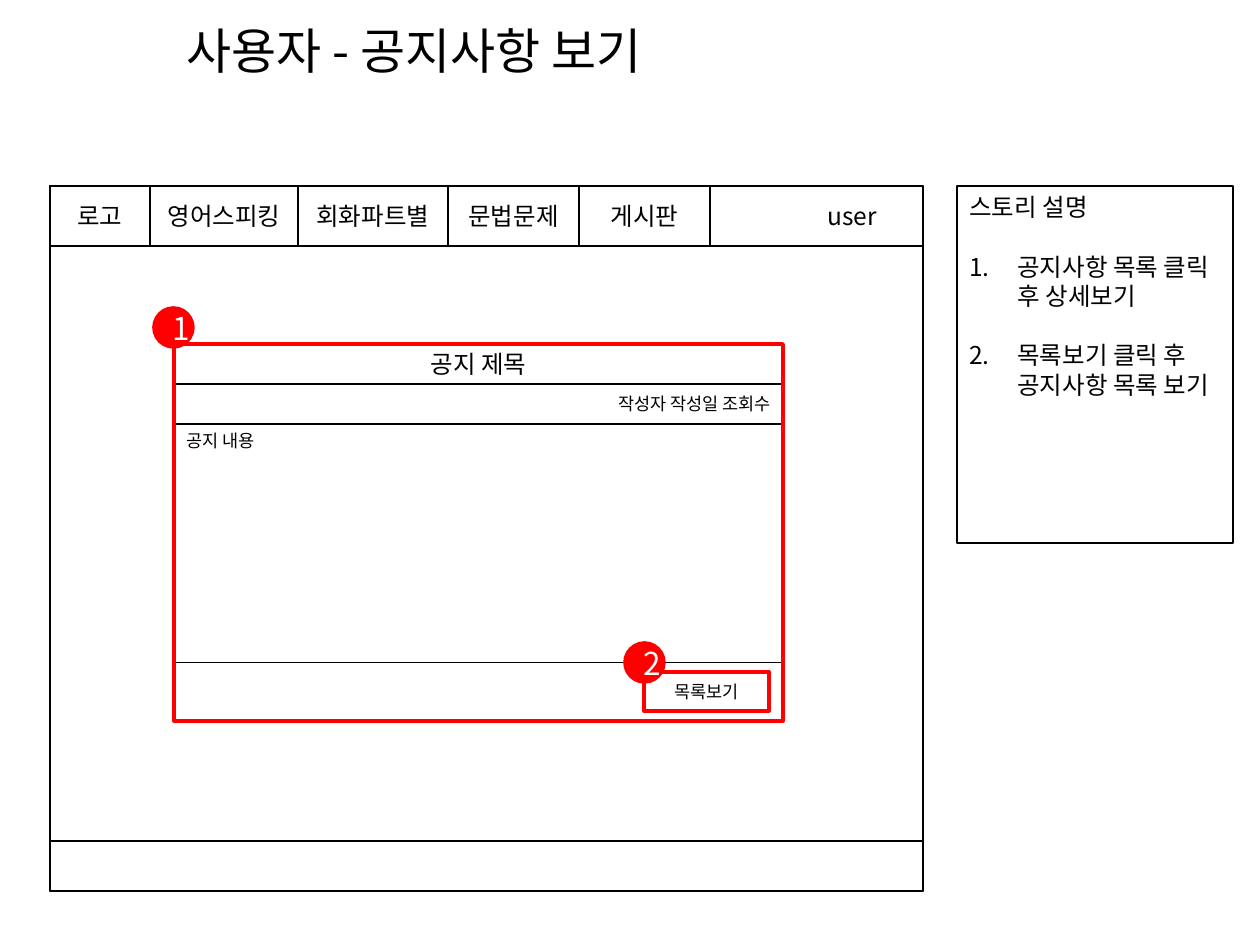
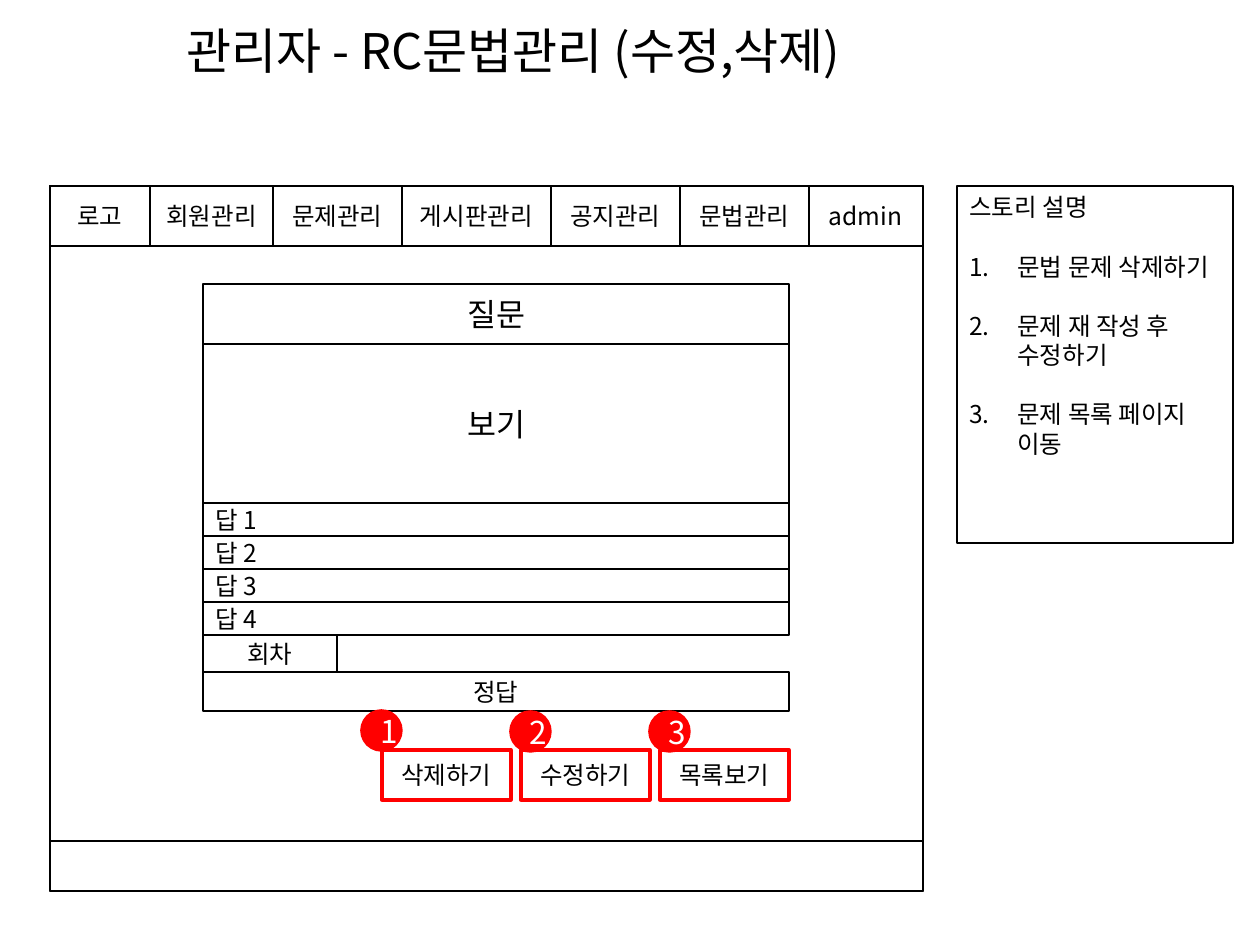
import itertools

import pptx
import pptx.dml.color
import pptx.enum.shapes
import pptx.enum.text
import pptx.oxml
import pptx.oxml.ns
import pptx.util

PX_PER_INCH = 126
FONT = "Noto Sans CJK KR"
BLACK, RED, WHITE = "000000", "FF0000", "FFFFFF"
BODY, SMALL, LARGE, TITLE = 14, 10, 18, 28
LINE_HEIGHT = pptx.util.Pt(16.9)

FRAME_LEFT, FRAME_TOP, FRAME_WIDTH, FRAME_HEIGHT = 50, 186, 873, 705
MENU_HEIGHT = 60
FOOTER_HEIGHT = 50
BADGE_SIZE = 39

RECTANGLE = pptx.enum.shapes.MSO_SHAPE.RECTANGLE
OVAL = pptx.enum.shapes.MSO_SHAPE.OVAL
ALIGN = pptx.enum.text.PP_ALIGN
ANCHOR = pptx.enum.text.MSO_ANCHOR


def px(length):
    return pptx.util.Emu(round(length * 914400 / PX_PER_INCH))


def color(hex_value):
    return pptx.dml.color.RGBColor.from_string(hex_value)


def add_xml(parent, tag, **attributes):
    element = pptx.oxml.parse_xml(f"<a:{tag} {pptx.oxml.ns.nsdecls('a')}/>")
    for name, value in attributes.items():
        element.set(name, value)
    parent.append(element)


def style_font(para, size, text_color=BLACK):
    """Set one font for Latin and Korean text of a paragraph."""
    para.font.size = pptx.util.Pt(size)
    para.font.name = FONT
    para.font.color.rgb = color(text_color)
    add_xml(para._p.pPr.find(pptx.oxml.ns.qn("a:defRPr")), "ea", typeface=FONT)


def write(box, text, size=BODY, align=ALIGN.CENTER, anchor=ANCHOR.MIDDLE, text_color=BLACK):
    frame = box.text_frame
    frame.word_wrap = True
    frame.vertical_anchor = anchor
    para = frame.paragraphs[0]
    para.text = text
    para.alignment = align
    style_font(para, size, text_color)


def add_box(page, left, top, width, height, text="", line=0.75, line_color=BLACK,
            kind=RECTANGLE, fill=None, **text_style):
    box = page.shapes.add_shape(kind, px(left), px(top), px(width), px(height))
    box.shadow.inherit = False
    if fill:
        box.fill.solid()
        box.fill.fore_color.rgb = color(fill)
    else:
        box.fill.background()
    box.line.color.rgb = color(line_color)
    box.line.width = pptx.util.Pt(line)
    if text:
        write(box, text, **text_style)
    return box


def add_label(page, left, top, width, height, text, **text_style):
    box = page.shapes.add_textbox(px(left), px(top), px(width), px(height))
    write(box, text, **text_style)
    return box


def add_highlight(page, left, top, width, height):
    add_box(page, left, top, width, height, line=2, line_color=RED)


def add_badge(page, left, top, number):
    add_box(page, left, top, BADGE_SIZE, BADGE_SIZE, str(number), line=2, line_color=RED,
            kind=OVAL, fill=RED, size=LARGE, text_color=WHITE)


def add_title(page, text):
    box = add_label(page, 174, 14, 1062, 72, text, size=TITLE,
                    align=ALIGN.LEFT, anchor=ANCHOR.TOP)
    box.text_frame.auto_size = pptx.enum.text.MSO_AUTO_SIZE.SHAPE_TO_FIT_TEXT


def add_site_frame(page, tabs, tab_edges, account, account_left):
    """Draw the page outline with its menu, account name and footer."""
    add_box(page, FRAME_LEFT, FRAME_TOP, FRAME_WIDTH, FRAME_HEIGHT, line=1)
    add_box(page, FRAME_LEFT, FRAME_TOP, FRAME_WIDTH, MENU_HEIGHT, line=1)
    add_box(page, FRAME_LEFT, FRAME_TOP + FRAME_HEIGHT - FOOTER_HEIGHT,
            FRAME_WIDTH, FOOTER_HEIGHT, line=1)
    for tab, (left, right) in zip(tabs, itertools.pairwise(tab_edges)):
        add_box(page, left, FRAME_TOP, right - left, MENU_HEIGHT, tab)
    add_label(page, account_left, FRAME_TOP, FRAME_LEFT + FRAME_WIDTH - 1 - account_left,
              MENU_HEIGHT, account)


def add_story(page, steps):
    box = add_box(page, 957, FRAME_TOP, 276, 357, "스토리 설명",
                  align=ALIGN.LEFT, anchor=ANCHOR.TOP)
    box.text_frame.paragraphs[0].line_spacing = LINE_HEIGHT
    for step in steps:
        para = box.text_frame.add_paragraph()
        para.text = step
        para.alignment = ALIGN.LEFT
        para.line_spacing = LINE_HEIGHT
        para.space_before = LINE_HEIGHT
        properties = para._p.get_or_add_pPr()
        properties.set("marL", str(px(48)))
        properties.set("indent", str(-px(48)))
        add_xml(properties, "buAutoNum", type="arabicPeriod")
        style_font(para, BODY)


def build_notice(page):
    add_story(page, ["공지사항 목록 클릭 후 상세보기", "목록보기 클릭 후 공지사항 목록 보기"])
    add_site_frame(page, ["로고", "영어스피킹", "회화파트별", "문법문제", "게시판"],
                   [50, 150, 298, 448, 579, 710], "user", 782)
    left, top, width, row = 174, 344, 609, 40
    button = (644, 672, 125, 39)
    add_box(page, left, top, width, row, "공지 제목", line=1)
    add_box(page, left, top + 2 * row, width, 297, "공지 내용", line=1,
            size=SMALL, align=ALIGN.LEFT, anchor=ANCHOR.TOP)
    add_box(page, *button, "목록보기", line=1, size=SMALL)
    add_box(page, left, top + row, width, row, "작성자 작성일 조회수", line=1,
            size=SMALL, align=ALIGN.RIGHT)
    add_box(page, left, 662, width, 59, line=0.5)
    add_highlight(page, left, top, width, 377)
    add_badge(page, 154, 308, 1)
    add_highlight(page, *button)
    add_badge(page, 625, 643, 2)
    add_title(page, "사용자 - 공지사항 보기")


def build_grammar_admin(page):
    add_site_frame(page, ["로고", "회원관리", "문제관리", "게시판관리", "공지관리", "문법관리"],
                   [50, 150, 273, 402, 551, 680, 809], "admin", 809)
    left, width, answer_height = 203, 586, 33
    add_box(page, left, 284, width, 60, "질문", size=LARGE)
    add_box(page, left, 344, width, 159, "보기", size=LARGE)
    for index in range(4):
        add_box(page, left, 503 + index * answer_height, width, answer_height,
                f"답 {index + 1}", align=ALIGN.LEFT)
    add_box(page, left, 635, 134, 37, "회차")
    add_box(page, left, 672, width, 39, "정답")
    add_story(page, ["문법 문제 삭제하기", "문제 재 작성 후 수정하기", "문제 목록 페이지 이동"])
    badges = [(362, 711), (511, 712), (650, 712)]
    for index, action in enumerate(["삭제하기", "수정하기", "목록보기"]):
        button = (382 + index * 139, 750, 129, 50)
        add_box(page, *button, action)
        add_highlight(page, *button)
    for number, (badge_left, badge_top) in enumerate(badges, 1):
        add_badge(page, badge_left, badge_top, number)
    add_title(page, "관리자 - RC문법관리 (수정,삭제)")


def main():
    deck = pptx.Presentation()
    deck.slide_width = px(1260)
    deck.slide_height = px(945)
    for build in (build_notice, build_grammar_admin):
        build(deck.slides.add_slide(deck.slide_layouts[6]))
    deck.save("out.pptx")


if __name__ == "__main__":
    main()
